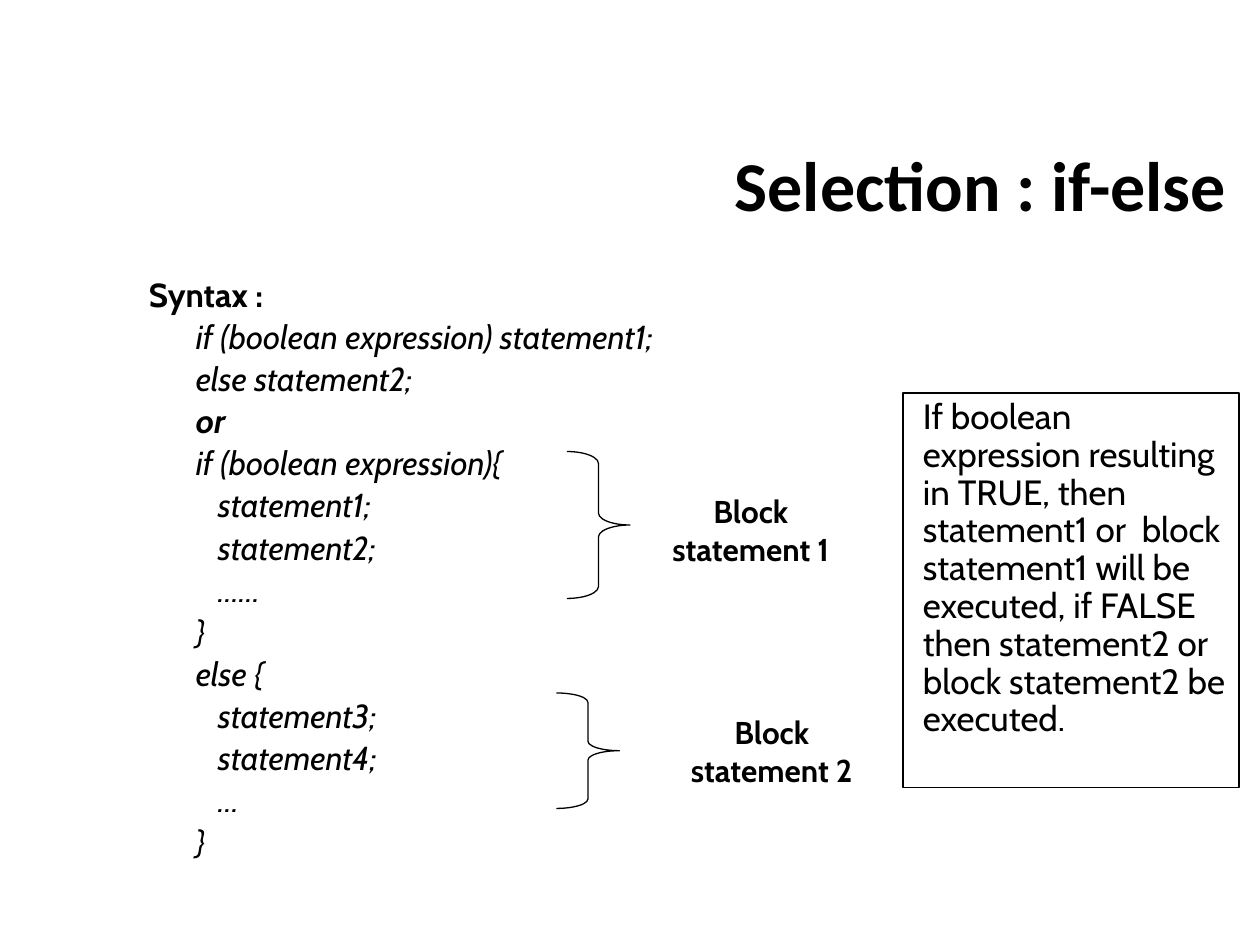
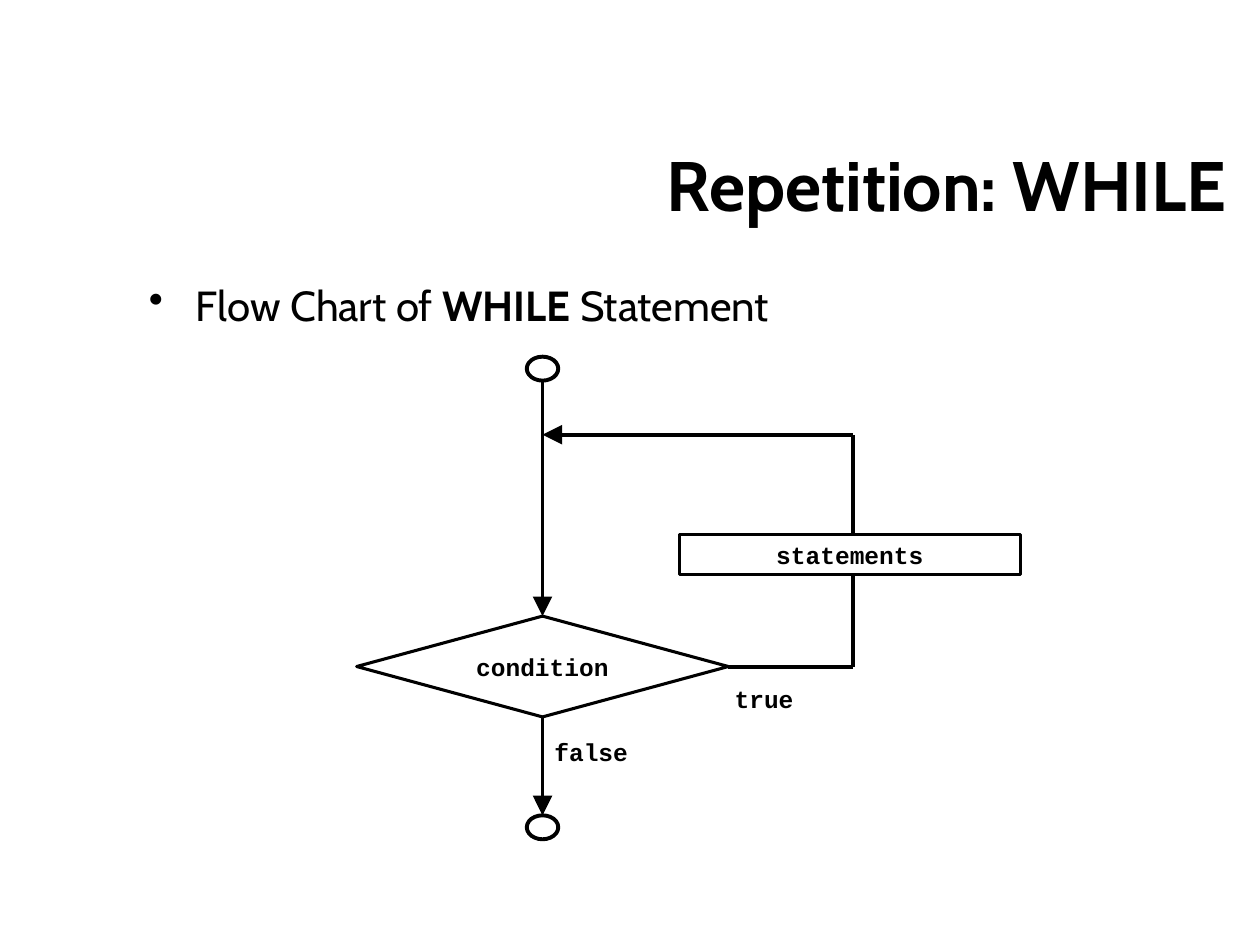
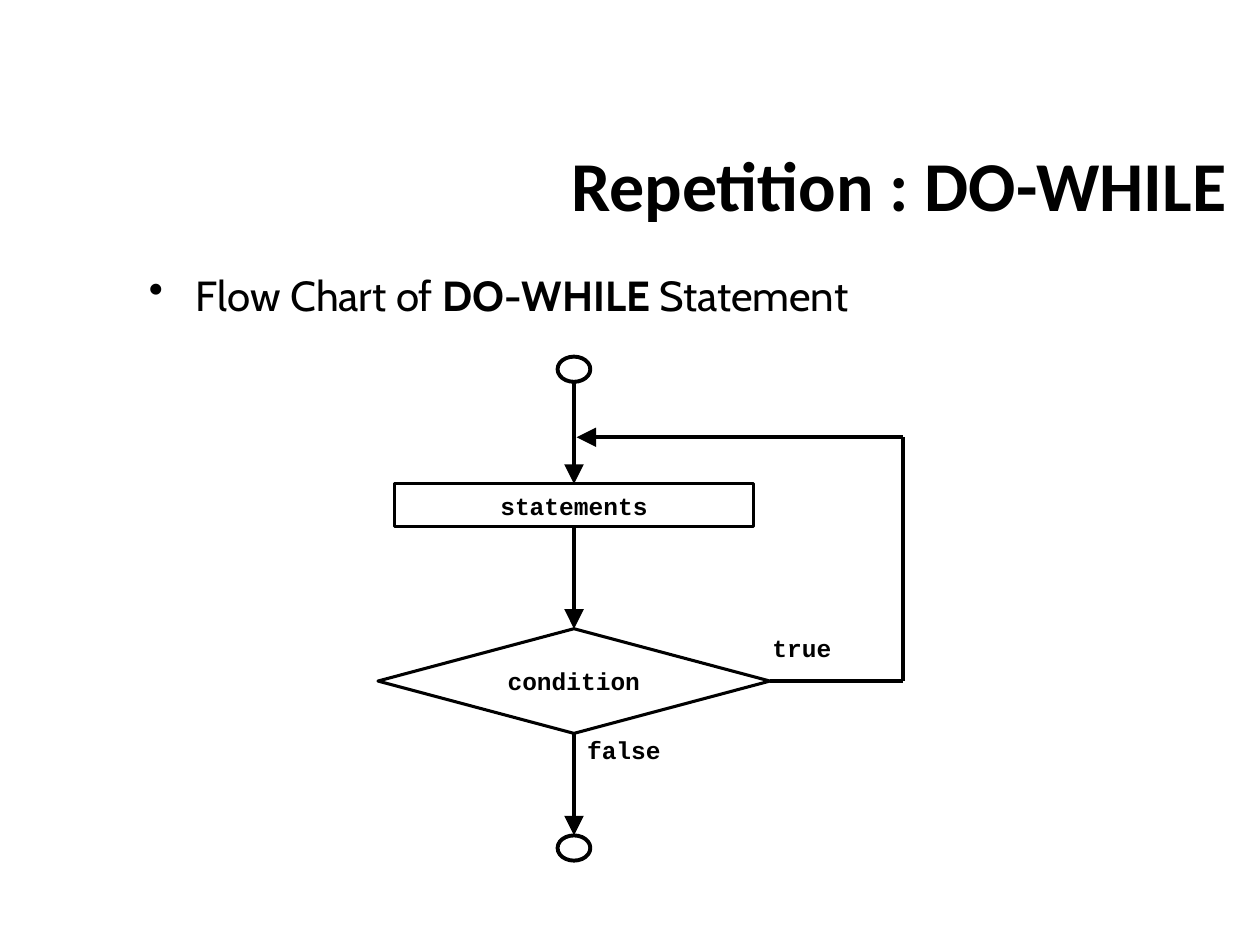
from dataclasses import dataclass

from lxml import etree
from pptx import Presentation
from pptx.dml.color import RGBColor
from pptx.enum.shapes import MSO_CONNECTOR, MSO_SHAPE
from pptx.enum.text import MSO_ANCHOR, MSO_AUTO_SIZE, PP_ALIGN
from pptx.oxml.ns import qn
from pptx.util import Pt

BLACK = RGBColor(0, 0, 0)
WHITE = RGBColor(255, 255, 255)
LEFT, CENTER, RIGHT = PP_ALIGN.LEFT, PP_ALIGN.CENTER, PP_ALIGN.RIGHT
TOP, MIDDLE = MSO_ANCHOR.TOP, MSO_ANCHOR.MIDDLE
NO_FIT = MSO_AUTO_SIZE.NONE
STRAIGHT = MSO_CONNECTOR.STRAIGHT
RECTANGLE, DIAMOND = MSO_SHAPE.RECTANGLE, MSO_SHAPE.DIAMOND
ELLIPSE, BRACE = MSO_SHAPE.OVAL, MSO_SHAPE.RIGHT_BRACE
SITE_TOP, SITE_BOTTOM, SITE_RIGHT = 0, 2, 3

BODY_FONT, TITLE_FONT, CODE_FONT = "Cabin", "Calibri", "Courier New"
TITLE_BOX = (264, 60, 444, 90)
BODY_BOX = (78, 156, 630, 336)
INDENT = 26.8
STEP = 12.6
CODE_STYLE = {"size": 14, "font": CODE_FONT, "bold": True}

IF_ELSE_LINES = [
    (0, "if (boolean expression) statement1;"),
    (0, "else statement2;"),
    (0, "or"),
    (0, "if (boolean expression){"),
    (1, "statement1;"),
    (1, "statement2;"),
    (1, "……"),
    (0, "}"),
    (0, "else {"),
    (1, "statement3;"),
    (1, "statement4;"),
    (1, "…"),
    (0, "}"),
]
EXPLANATION = (
    "If boolean expression resulting in TRUE, then statement1 or  block statement1 "
    "will be executed, if FALSE then statement2 or block statement2 be executed."
)


@dataclass
class FlowChart:
    box: tuple
    circle: tuple
    condition: tuple
    statements: tuple
    loop_x: float
    loop_y: float
    loop_gap: float
    true_label: tuple
    false_label: tuple
    statements_first: bool


WHILE_CHART = FlowChart(
    box=(203.8, 203.8, 379.4, 275.8),
    circle=(18, 13.7),
    condition=(0, 148.3, 212.4, 57.6),
    statements=(184.3, 101.5, 195.1, 23),
    loop_x=283.7,
    loop_y=44.6,
    loop_gap=0,
    true_label=(216, 187.2),
    false_label=(113, 217.4),
    statements_first=False,
)
DO_WHILE_CHART = FlowChart(
    box=(216, 203.8, 300.2, 288),
    circle=(18.7, 14.4),
    condition=(0, 155.5, 224, 59.8),
    statements=(9.4, 72.7, 205.2, 24.5),
    loop_x=300.2,
    loop_y=46.1,
    loop_gap=1.5,
    true_label=(225.4, 157.7),
    false_label=(119.5, 216),
    statements_first=True,
)


def points(values):
    return [Pt(value) for value in values]


def add_text(target, text, size=20, font=BODY_FONT, bold=False, italic=False,
             align=LEFT, spacing=None, before=0, margin=0, hanging=0, bullet=None,
             bold_part=None):
    frame = target.text_frame
    paragraph = frame.paragraphs[0]
    if paragraph.runs:
        paragraph = frame.add_paragraph()
    paragraph.alignment = align
    paragraph.space_before = Pt(before)
    if spacing:
        paragraph.line_spacing = spacing
    properties = paragraph._p.get_or_add_pPr()
    properties.set("marL", str(Pt(margin)))
    properties.set("indent", str(Pt(-hanging)))
    if bullet:
        etree.SubElement(properties, qn("a:buChar")).set("char", bullet)
    pieces = [text]
    if bold_part:
        start, end = text.split(bold_part)
        pieces = [start, bold_part, end]
    for piece in pieces:
        run = paragraph.add_run()
        run.text = piece
        run.font.size = Pt(size)
        run.font.name = font
        run.font.bold = bold or piece == bold_part
        run.font.italic = italic
        run.font.color.rgb = BLACK


def format_frame(target, anchor=TOP, inset=None):
    frame = target.text_frame
    frame.word_wrap = True
    frame.auto_size = NO_FIT
    frame.vertical_anchor = anchor
    if inset is not None:
        frame.margin_left = frame.margin_right = Pt(inset)
        frame.margin_top = frame.margin_bottom = Pt(inset)


def add_text_box(slide, box, anchor=TOP, inset=None):
    text_box = slide.shapes.add_textbox(*points(box))
    format_frame(text_box, anchor, inset)
    return text_box


def add_outline(slide, kind, box, width, fill=None):
    shape = slide.shapes.add_shape(kind, *points(box))
    shape.shadow.inherit = False
    if fill is None:
        shape.fill.background()
    else:
        shape.fill.solid()
        shape.fill.fore_color.rgb = fill
    shape.line.color.rgb = BLACK
    shape.line.width = Pt(width)
    return shape


def add_line(slide, start, end, arrow=False):
    connector = slide.shapes.add_connector(STRAIGHT, *points(start + end))
    connector.line.color.rgb = BLACK
    connector.line.width = Pt(2.25)
    properties = connector._element.spPr
    if arrow:
        head = etree.SubElement(properties.get_or_add_ln(), qn("a:tailEnd"))
        for name, value in (("type", "triangle"), ("w", "lg"), ("len", "lg")):
            head.set(name, value)
    etree.SubElement(properties, qn("a:effectLst"))
    return connector


def add_titled_slide(presentation, title, font):
    slide = presentation.slides.add_slide(presentation.slide_layouts[5])
    placeholder = slide.shapes.title
    placeholder.left, placeholder.top, placeholder.width, placeholder.height = points(TITLE_BOX)
    format_frame(placeholder, MIDDLE)
    add_text(placeholder, title, size=40, font=font, bold=True, align=RIGHT)
    return slide


def add_syntax(slide, box):
    body = add_text_box(slide, box)
    style = {"size": 19, "spacing": 0.9, "before": 3.5}
    add_text(body, "Syntax :", bold=True, margin=INDENT, hanging=INDENT, **style)
    for level, line in IF_ELSE_LINES:
        add_text(body, line, bold=line == "or", italic=True,
                 margin=INDENT + level * STEP, **style)


def add_block(slide, box, label, label_offset, curve):
    left, top, width, height = box
    brace = add_outline(slide, BRACE, box, 0.75)
    brace.adjustments[0] = curve
    label_box = (left + label_offset[0], top + label_offset[1], 126, 42)
    add_text(add_text_box(slide, label_box, MIDDLE), label,
             size=18, bold=True, align=CENTER)


def add_explanation(slide, box):
    panel = add_outline(slide, RECTANGLE, box, 0.75)
    format_frame(panel)
    add_text(panel, EXPLANATION, spacing=0.9, before=6, margin=4.3)


def add_chart_heading(slide, box, name, spacing):
    body = add_text_box(slide, box)
    add_text(body, f"Flow Chart of {name} Statement", size=24, bold_part=f"{name} ",
             spacing=spacing, margin=INDENT, hanging=INDENT, bullet="•")


def add_flow_node(slide, kind, box, text):
    node = add_outline(slide, kind, box, 1.75, WHITE)
    format_frame(node, MIDDLE, 0)
    add_text(node, text, align=CENTER, **CODE_STYLE)
    return node


def add_flow_chart(slide, chart):
    left, top, width, height = chart.box

    def place(x, y, *size):
        return (left + x, top + y, *size)

    circle_width, circle_height = chart.circle
    condition_left, condition_top, condition_width, condition_height = chart.condition
    axis = condition_left + condition_width / 2
    middle = condition_top + condition_height / 2
    end_top = height - circle_height

    for circle_top in (0, end_top):
        add_outline(slide, ELLIPSE,
                    place(axis - circle_width / 2, circle_top, *chart.circle), 2.25)

    corner = place(chart.loop_x, chart.loop_y)
    turn = place(chart.loop_x, middle)
    add_line(slide, turn, corner)
    add_line(slide, corner, place(axis + chart.loop_gap, chart.loop_y), arrow=True)

    statements = add_flow_node(slide, RECTANGLE, place(*chart.statements), "statements")
    condition = add_flow_node(slide, DIAMOND, place(*chart.condition), "condition")

    start = place(axis, circle_height)
    condition_point = place(axis, condition_top)
    entry = add_line(slide, start, condition_point, arrow=True)
    if chart.statements_first:
        entry.end_connect(statements, SITE_TOP)
        step = add_line(slide, start, condition_point, arrow=True)
        step.begin_connect(statements, SITE_BOTTOM)
        step.end_connect(condition, SITE_TOP)
    else:
        entry.end_connect(condition, SITE_TOP)

    true_exit = add_line(slide, place(condition_width, middle), turn)
    true_exit.begin_connect(condition, SITE_RIGHT)
    false_exit = add_line(slide, place(axis, condition_top + condition_height),
                          place(axis, end_top), arrow=True)
    false_exit.begin_connect(condition, SITE_BOTTOM)

    for text, position in (("true", chart.true_label), ("false", chart.false_label)):
        label = add_text_box(slide, place(*position, 78, 28), inset=0)
        add_text(label, text, **CODE_STYLE)


def add_if_else_slide(presentation):
    slide = add_titled_slide(presentation, "Selection : if-else", TITLE_FONT)
    add_syntax(slide, BODY_BOX)
    add_block(slide, (324, 258, 36, 84), "Block statement 1", (42, 24), 0.19)
    add_block(slide, (318, 396, 36, 66), "Block statement 2", (60, 12), 0.15)
    add_explanation(slide, (516, 224.6, 192, 225.4))


def add_loop_slide(presentation, title, font, name, spacing, chart):
    slide = add_titled_slide(presentation, title, font)
    add_chart_heading(slide, BODY_BOX, name, spacing)
    add_flow_chart(slide, chart)


def main():
    presentation = Presentation()
    presentation.slide_width, presentation.slide_height = Pt(720), Pt(540)
    add_if_else_slide(presentation)
    add_loop_slide(presentation, "Repetition: WHILE", BODY_FONT, "WHILE", 1.0, WHILE_CHART)
    add_loop_slide(presentation, "Repetition : DO-WHILE", TITLE_FONT, "DO-WHILE", 0.8,
                   DO_WHILE_CHART)
    presentation.save("out.pptx")


if __name__ == "__main__":
    main()
